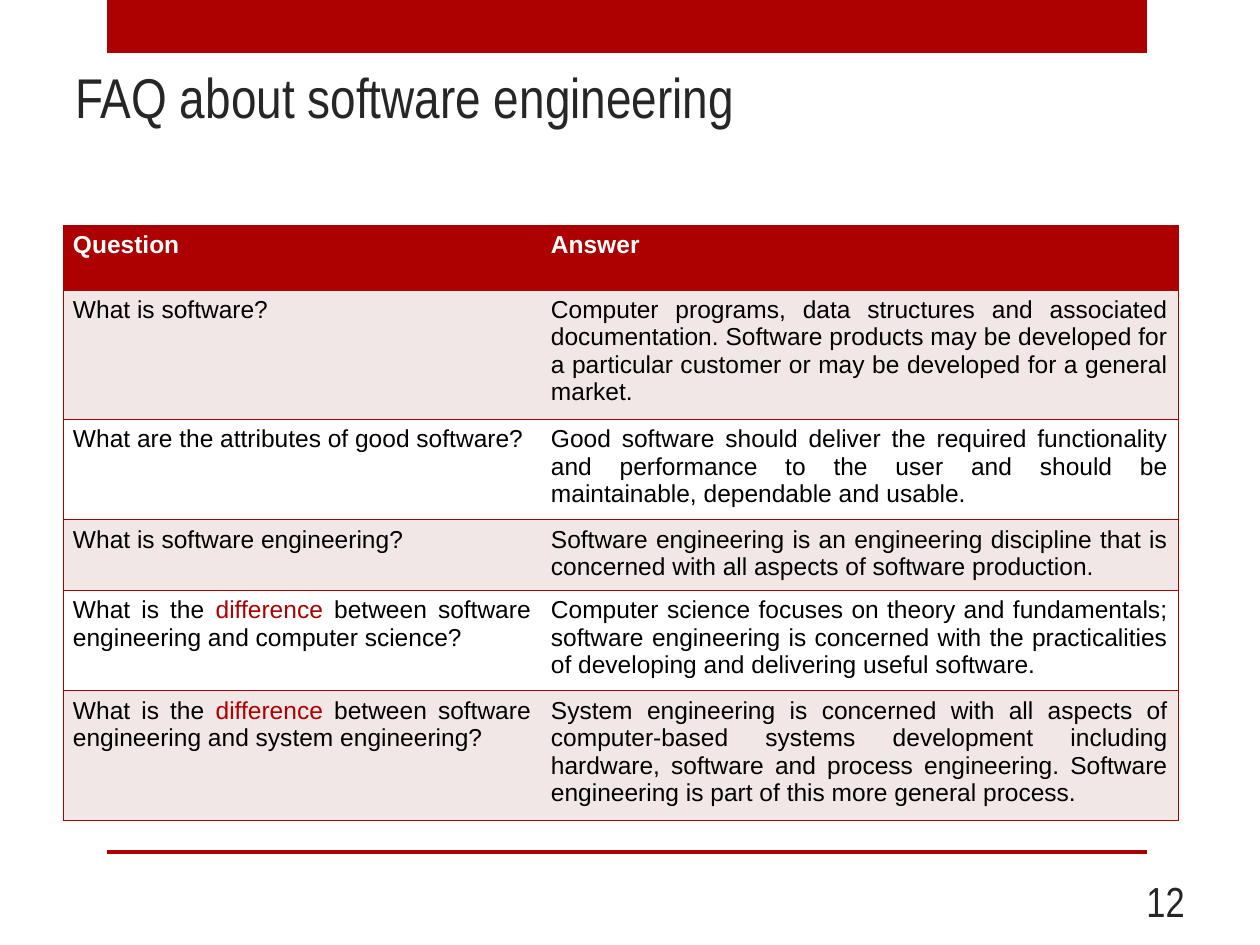
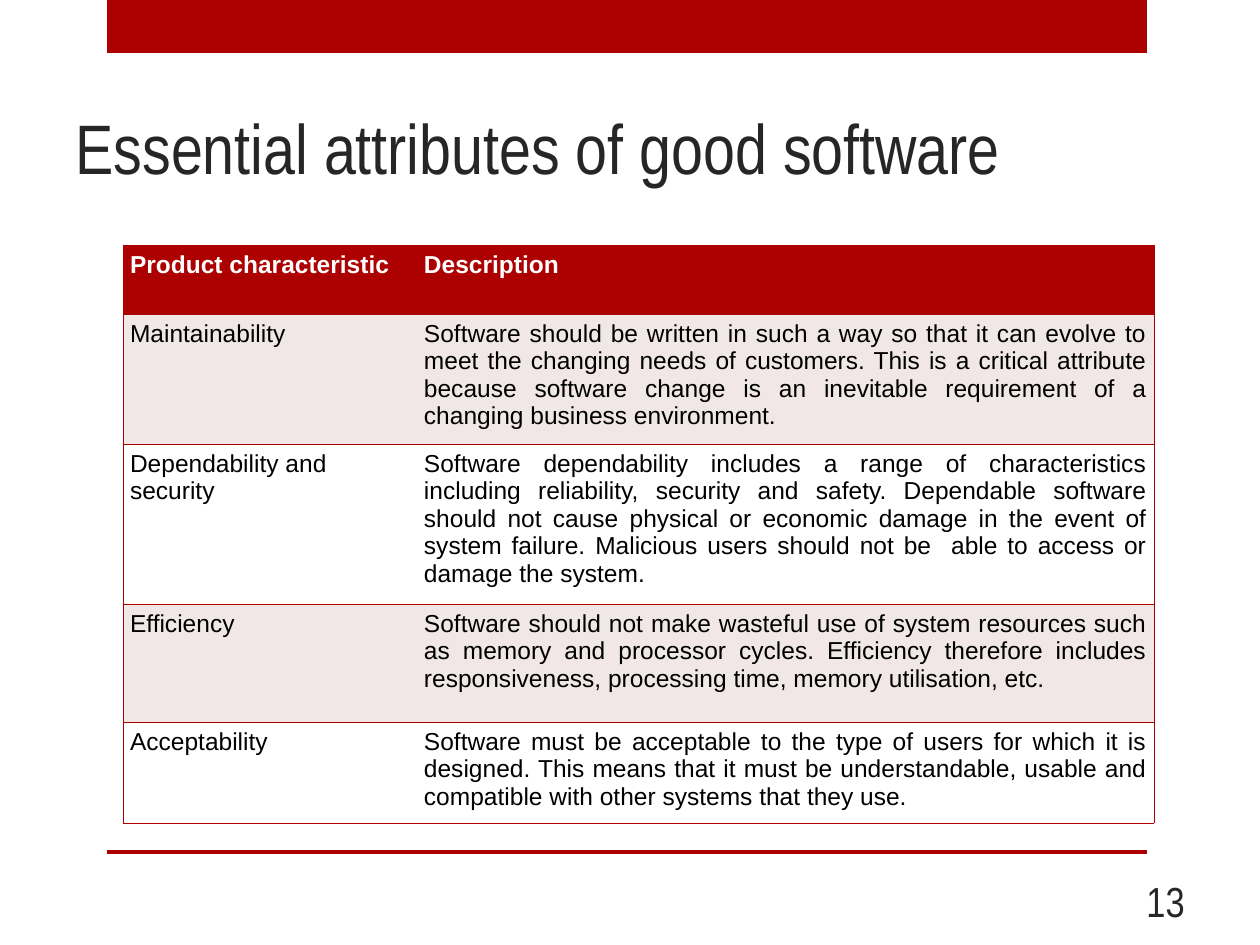
from dataclasses import dataclass

import pptx
import pptx.dml.color
import pptx.enum.shapes
import pptx.enum.text
import pptx.oxml
import pptx.oxml.ns
import pptx.util

EMU_PER_PX = pptx.util.Inches(1) / 126
ALIGN = pptx.enum.text.PP_ALIGN
ANCHOR = pptx.enum.text.MSO_ANCHOR


@dataclass(frozen=True)
class Theme:
    accent: str = "AD0101"
    heading: str = "262626"
    body: str = "000000"
    paper: str = "FFFFFF"
    stripe: str = "F1E7E7"
    heading_font: str = "Arial Narrow"
    body_font: str = "Arial"
    number_size: int = 24
    cell_size: int = 14
    border_points: float = 0.45


def px(length):
    return pptx.util.Emu(round(length * EMU_PER_PX))


def rgb(color):
    return pptx.dml.color.RGBColor.from_string(color)


def write_text(frame, text, *, font, size, color, bold=False, align=ALIGN.LEFT,
               highlight=None, highlight_color=None):
    """Fill the first paragraph; the highlight word gets its own colour."""
    paragraph = frame.paragraphs[0]
    paragraph.alignment = align
    pieces = text.partition(highlight) if highlight else (text,)
    for piece in filter(None, pieces):
        run = paragraph.add_run()
        run.text = piece
        run.font.name = font
        run.font.size = pptx.util.Pt(size)
        run.font.bold = bold
        run.font.color.rgb = rgb(highlight_color if piece == highlight else color)


class Deck:
    def __init__(self, theme):
        self.theme = theme
        self.presentation = pptx.Presentation()
        self.presentation.slide_width = px(1260)
        self.presentation.slide_height = px(945)
        self.slide = None

    def add_slide(self, title, number, *, title_box, title_size):
        layout = self.presentation.slide_layouts[6]
        self.slide = self.presentation.slides.add_slide(layout)
        self.add_band(107, 0, 1040, 53)
        self.add_band(107, 850, 1040, 4)
        self.add_label(title, title_box, title_size, anchor=ANCHOR.BOTTOM)
        self.add_label(str(number), (903, 876, 294, 50), self.theme.number_size,
                       align=ALIGN.RIGHT)

    def add_band(self, left, top, width, height):
        band = self.slide.shapes.add_shape(
            pptx.enum.shapes.MSO_SHAPE.RECTANGLE, *map(px, (left, top, width, height)))
        band.shadow.inherit = False
        band.fill.solid()
        band.fill.fore_color.rgb = rgb(self.theme.accent)
        band.line.fill.background()

    def add_label(self, text, box, size, *, align=ALIGN.LEFT, anchor=ANCHOR.MIDDLE):
        frame = self.slide.shapes.add_textbox(*map(px, box)).text_frame
        frame.word_wrap = True
        frame.vertical_anchor = anchor
        write_text(frame, text, font=self.theme.heading_font, size=size,
                   color=self.theme.heading, align=align)

    def add_table(self, rows, *, left, top, widths, heights, inset,
                  highlight=None, left_aligned=()):
        table = self.slide.shapes.add_table(
            len(rows), len(widths), px(left), px(top),
            px(sum(widths)), px(sum(heights))).table
        for column, width in zip(table.columns, widths):
            column.width = px(width)
        for row, height in zip(table.rows, heights):
            row.height = px(height)
        for row_index, texts in enumerate(rows):
            for column_index, text in enumerate(texts):
                cell = table.cell(row_index, column_index)
                cell.margin_left = cell.margin_right = px(inset)
                cell.margin_top = cell.margin_bottom = px(6)
                outer_side = "L" if column_index == 0 else "R"
                self.set_borders(cell, outer_side + "TB")
                self.fill_cell(cell, row_index)
                header = row_index == 0
                write_text(
                    cell.text_frame, text, font=self.theme.body_font,
                    size=self.theme.cell_size, bold=header,
                    color=self.theme.paper if header else self.theme.body,
                    align=ALIGN.LEFT if text in left_aligned else ALIGN.JUSTIFY,
                    highlight=highlight, highlight_color=self.theme.accent)

    def fill_cell(self, cell, row_index):
        if row_index == 0:
            color = self.theme.accent
        else:
            color = self.theme.stripe if row_index % 2 else self.theme.paper
        cell.fill.solid()
        cell.fill.fore_color.rgb = rgb(color)

    def set_borders(self, cell, visible_sides):
        """Draw the named sides (L, R, T, B) and hide the others."""
        properties = cell._tc.get_or_add_tcPr()
        width = pptx.util.Pt(self.theme.border_points)
        line_fill = f'<a:solidFill><a:srgbClr val="{self.theme.accent}"/></a:solidFill>'
        for side in "LRTB":
            fill = line_fill if side in visible_sides else "<a:noFill/>"
            properties.append(pptx.oxml.parse_xml(
                f'<a:ln{side} {pptx.oxml.ns.nsdecls("a")} w="{width}">{fill}</a:ln{side}>'))


FAQ = [
    ("Question", "Answer"),
    ("What is software?",
     "Computer programs, data structures and associated documentation. Software products "
     "may be developed for a particular customer or may be developed for a general market."),
    ("What are the attributes of good software?",
     "Good software should deliver the required functionality and performance to the user "
     "and should be maintainable, dependable and usable."),
    ("What is software engineering?",
     "Software engineering is an engineering discipline that is concerned with all aspects "
     "of software production."),
    ("What is the difference between software engineering and computer science?",
     "Computer science focuses on theory and fundamentals; software engineering is concerned "
     "with the practicalities of developing and delivering useful software."),
    ("What is the difference between software engineering and system engineering?",
     "System engineering is concerned with all aspects of computer-based systems development "
     "including hardware, software and process engineering. Software engineering is part of "
     "this more general process."),
]

ATTRIBUTES = [
    ("Product characteristic", "Description"),
    ("Maintainability",
     "Software should be written in such a way so that it can evolve to meet the changing "
     "needs of customers. This is a critical attribute because software change is an "
     "inevitable requirement of a changing business environment."),
    ("Dependability and security",
     "Software dependability includes a range of characteristics including reliability, "
     "security and safety. Dependable software should not cause physical or economic damage "
     "in the event of system failure. Malicious users should not be  able to access or "
     "damage the system."),
    ("Efficiency",
     "Software should not make wasteful use of system resources such as memory and processor "
     "cycles. Efficiency therefore includes responsiveness, processing time, memory "
     "utilisation, etc."),
    ("Acceptability",
     "Software must be acceptable to the type of users for which it is designed. This means "
     "that it must be understandable, usable and compatible with other systems that they use."),
]


def main():
    deck = Deck(Theme())

    deck.add_slide("FAQ about software engineering", 12,
                   title_box=(63, 63, 1144, 73), title_size=32)
    deck.add_table(FAQ, left=63, top=225, widths=(478, 637),
                   heights=(65, 127, 98, 68, 98, 127), inset=10, highlight="difference")

    deck.add_slide("Essential attributes of good software", 13,
                   title_box=(63, 38, 1103, 157), title_size=40)
    deck.add_table(ATTRIBUTES, left=123, top=245, widths=(294, 737),
                   heights=(69, 130, 160, 118, 101), inset=7,
                   left_aligned=("Dependability and security",))

    deck.presentation.save("out.pptx")


if __name__ == "__main__":
    main()
